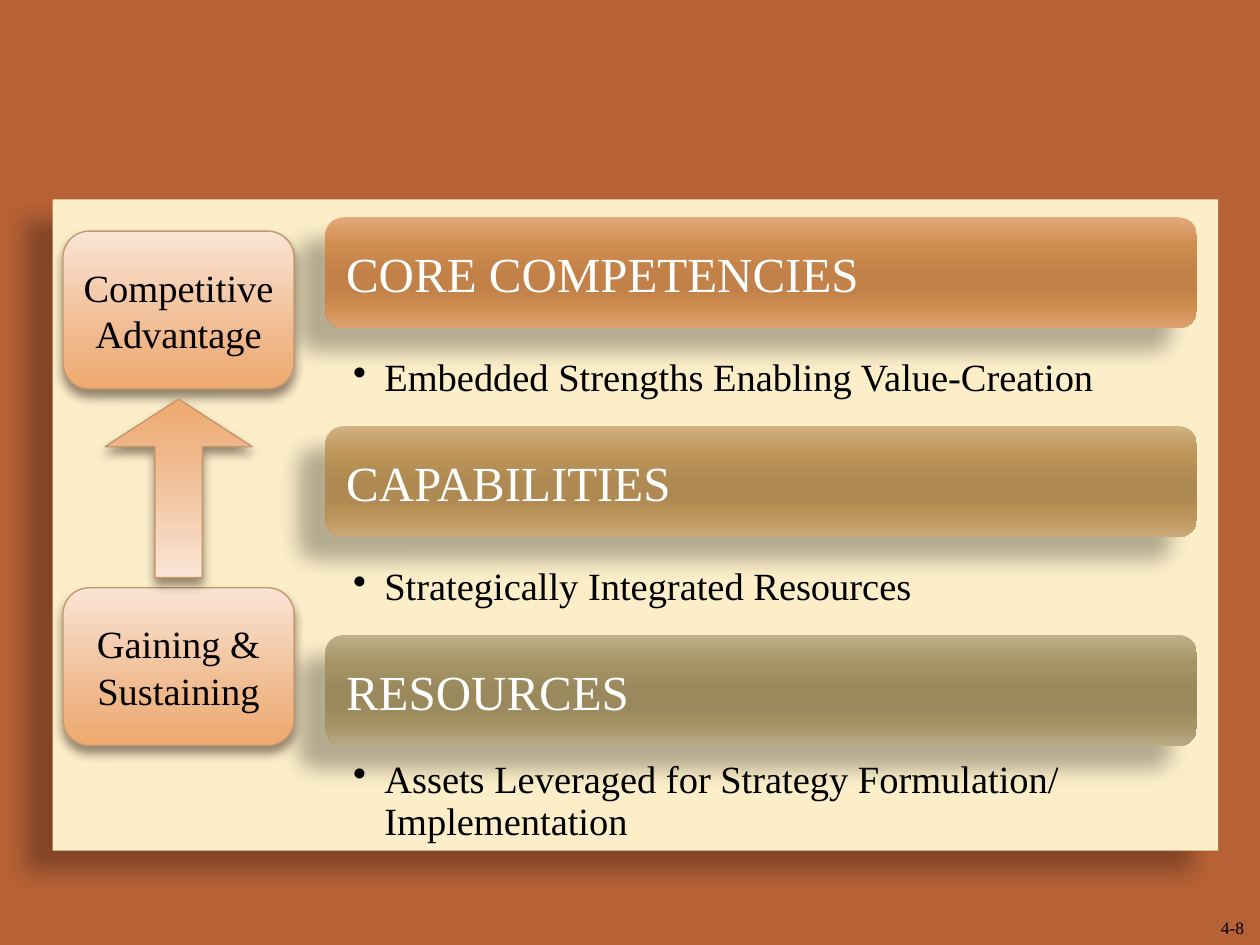
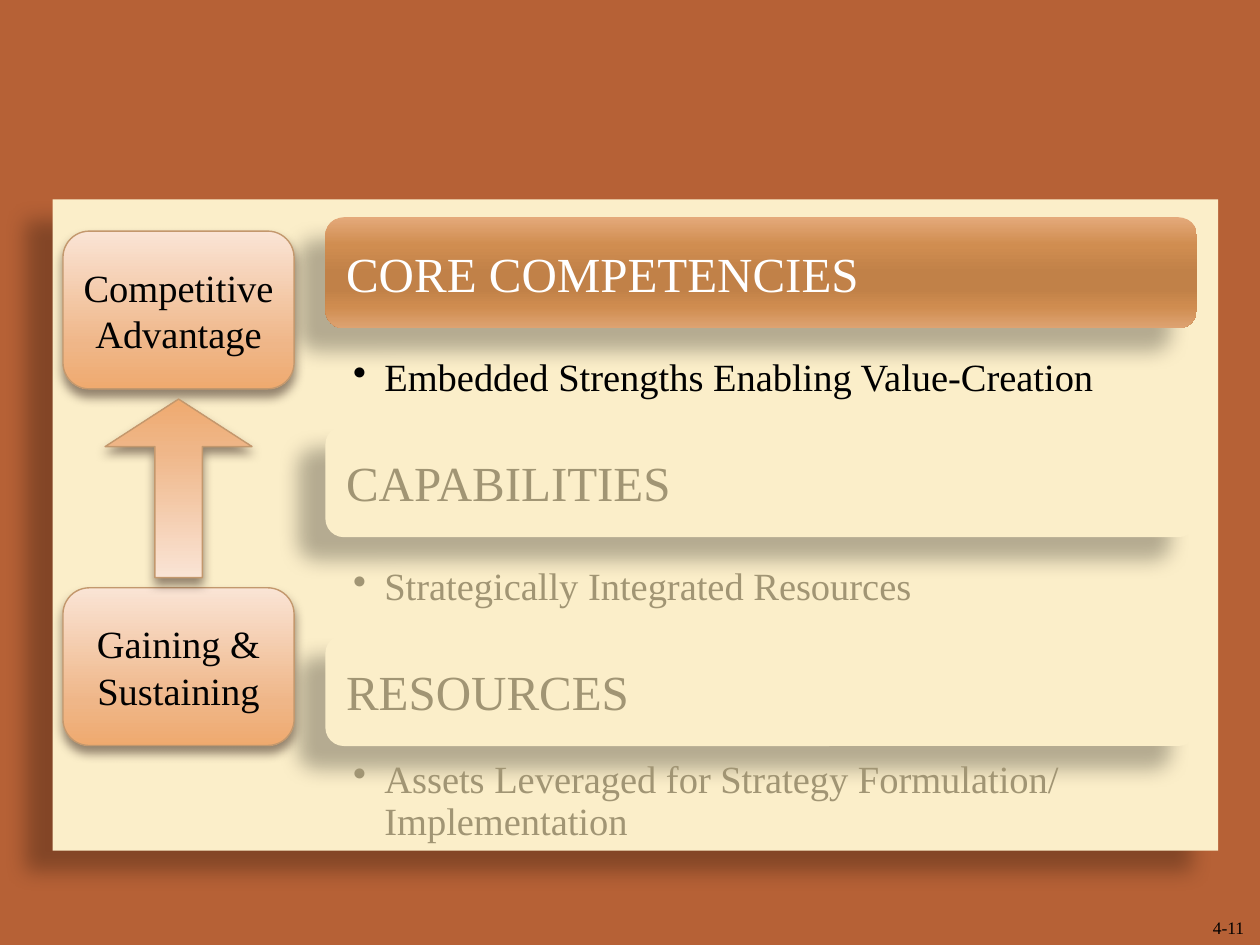
from dataclasses import dataclass

from lxml.etree import SubElement
from pptx import Presentation
from pptx.dml.color import RGBColor
from pptx.enum.shapes import MSO_SHAPE as Shape
from pptx.enum.text import MSO_ANCHOR as Anchor, PP_ALIGN as Align
from pptx.oxml.ns import qn
from pptx.util import Cm, Pt

# Each level: heading, detail, gradient of its bar, space above the detail (cm)
LEVELS = [
    ("CORE COMPETENCIES", "Embedded Strengths Enabling Value-Creation",
     ("E4A97A", "D08D50", "C18148", "C18148", "CF8C4F", "DEA372"), 0.61),
    ("CAPABILITIES", "Strategically Integrated Resources",
     ("D2B182", "BC9459", "AE8951", "AE8951", "BB9359", "CCAA7B"), 0.61),
    ("RESOURCES", "Assets Leveraged for Strategy Formulation/ Implementation",
     ("C0B18C", "A69465", "9A895C", "9A895C", "A59364", "BAAA85"), 0.29),
]
GOAL, DRIVER = "Competitive Advantage", "Gaining & Sustaining"

# Each slide: page number, how many levels are highlighted from the top
SLIDES = [("4-8", 3), ("4-11", 1)]


@dataclass(frozen=True)
class Theme:
    font: str = "Times New Roman"
    background: str = "B66136"
    panel: str = "FBEEC9"
    ink: str = "000000"
    box_ink: str = "010101"
    heading: str = "FFFFFF"
    muted: str = "A19574"
    box_line: str = "C3986D"
    box_stops: tuple = ((0, "FAE4D5"), (72, "EFB688"), (100, "EFAA6F"))
    bar_positions: tuple = (0, 25, 50, 65, 80, 100)
    # colour, opacity %, blur pt, distance pt, direction in degrees
    deep_shadow: tuple = ("000000", 28, 11.8, 19.7, 141)
    soft_shadow: tuple = ("4E3B30", 60, 6, 4, 90)
    heading_size: int = 28
    body_size: int = 22
    page_size: int = 10


THEME = Theme()

# Layout in cm: left, top, width, height
PANEL = (1.06, 4.02, 23.5, 13.13)
PAGE_NUMBER = (18.62, 18.08, 6.71, 0.97)
BAR_LEFT, BAR_TOP, BAR_WIDTH, BAR_HEIGHT = 6.56, 4.38, 17.57, 2.24
DETAIL_HEIGHT, LEVEL_PITCH = 1.98, 4.21
BOX_LEFT, BOX_WIDTH, BOX_HEIGHT = 1.27, 4.66, 3.18
GOAL_TOP, DRIVER_TOP = 4.66, 11.85
ARROW_WIDTH, ARROW_HEIGHT, ARROW_ADJUSTMENT = 2.96, 3.6, 0.323


def rgb(color):
    return RGBColor.from_string(color)


def set_gradient(shape, stops):
    """Fill from top to bottom with any number of (percent, colour) stops."""
    shape.fill.gradient()
    shape.fill.gradient_angle = 270
    stop_list = shape._element.spPr.find(qn("a:gradFill")).find(qn("a:gsLst"))
    for stop in list(stop_list):
        stop_list.remove(stop)
    for percent, color in stops:
        stop = SubElement(stop_list, qn("a:gs"), pos=str(percent * 1000))
        SubElement(stop, qn("a:srgbClr"), val=color)


def set_shadow(shape, color, opacity, blur, distance, direction):
    shape.shadow.inherit = False
    effects = shape._element.spPr.find(qn("a:effectLst"))
    outer = SubElement(effects, qn("a:outerShdw"), blurRad=str(Pt(blur)),
                       dist=str(Pt(distance)), dir=str(direction * 60000),
                       algn="ctr", rotWithShape="0")
    shade = SubElement(outer, qn("a:srgbClr"), val=color)
    SubElement(shade, qn("a:alpha"), val=str(opacity * 1000))


def add_block(slide, kind, box, fill, shadow, line=None):
    """Add a shape; fill is one colour or a sequence of gradient stops."""
    shape = slide.shapes.add_shape(kind, *map(Cm, box))
    if isinstance(fill, str):
        shape.fill.solid()
        shape.fill.fore_color.rgb = rgb(fill)
    else:
        set_gradient(shape, fill)
    if line:
        shape.line.color.rgb = rgb(line)
        shape.line.width = Pt(0.79)
    else:
        shape.line.fill.background()
    set_shadow(shape, *shadow)
    return shape


def write(shape, text, size, color, align, anchor, margins):
    """Put one paragraph in the shape; margins are left, top, right, bottom."""
    frame = shape.text_frame
    frame.word_wrap = True
    frame.vertical_anchor = anchor
    (frame.margin_left, frame.margin_top,
     frame.margin_right, frame.margin_bottom) = map(Cm, margins)
    paragraph = frame.paragraphs[0]
    paragraph.alignment = align
    run = paragraph.add_run()
    run.text = text
    run.font.name = THEME.font
    run.font.size = Pt(size)
    run.font.color.rgb = rgb(color)
    return paragraph


def add_bullet(paragraph):
    properties = paragraph._p.get_or_add_pPr()
    indent = Cm(0.63)
    properties.set("marL", str(indent))
    properties.set("indent", str(-indent))
    SubElement(properties, qn("a:buChar"), char="•")


def add_level(slide, index, highlighted):
    heading, detail, colors, space_above = LEVELS[index]
    top = BAR_TOP + index * LEVEL_PITCH
    fill = tuple(zip(THEME.bar_positions, colors)) if highlighted else THEME.panel

    bar = add_block(slide, Shape.ROUNDED_RECTANGLE,
                    (BAR_LEFT, top, BAR_WIDTH, BAR_HEIGHT), fill, THEME.deep_shadow)
    write(bar, heading, THEME.heading_size,
          THEME.heading if highlighted else THEME.muted,
          Align.LEFT, Anchor.MIDDLE, (0.31, 0.2, 0.31, 0.2))

    detail_box = slide.shapes.add_textbox(
        *map(Cm, (BAR_LEFT, top + BAR_HEIGHT, BAR_WIDTH, DETAIL_HEIGHT)))
    paragraph = write(detail_box, detail, THEME.body_size,
                      THEME.ink if highlighted else THEME.muted,
                      Align.LEFT, Anchor.TOP, (0.56, space_above, 0.08, 0.03))
    paragraph.line_spacing = 0.9
    add_bullet(paragraph)


def add_advantage_column(slide):
    """Two boxes joined by an arrow that points up, centred in the gap."""
    style = (THEME.box_stops, THEME.soft_shadow, THEME.box_line)
    for text, top in ((GOAL, GOAL_TOP), (DRIVER, DRIVER_TOP)):
        box = add_block(slide, Shape.ROUNDED_RECTANGLE,
                        (BOX_LEFT, top, BOX_WIDTH, BOX_HEIGHT), *style)
        write(box, text, THEME.body_size, THEME.box_ink,
              Align.CENTER, Anchor.MIDDLE, (0.1, 0.1, 0.1, 0.1))
    arrow_left = BOX_LEFT + (BOX_WIDTH - ARROW_WIDTH) / 2
    arrow_top = (GOAL_TOP + BOX_HEIGHT + DRIVER_TOP - ARROW_HEIGHT) / 2
    arrow = add_block(slide, Shape.DOWN_ARROW,
                      (arrow_left, arrow_top, ARROW_WIDTH, ARROW_HEIGHT), *style)
    arrow.rotation = 180
    for index in range(2):
        arrow.adjustments[index] = ARROW_ADJUSTMENT


def add_slide(presentation, page_number, highlighted_count):
    slide = presentation.slides.add_slide(presentation.slide_layouts[6])
    page_box = slide.shapes.add_textbox(*map(Cm, PAGE_NUMBER))
    write(page_box, page_number, THEME.page_size, THEME.ink,
          Align.RIGHT, Anchor.BOTTOM, (0.25, 0.13, 0.25, 0.13))
    add_block(slide, Shape.RECTANGLE, PANEL, THEME.panel, THEME.deep_shadow)
    for index in range(len(LEVELS)):
        add_level(slide, index, index < highlighted_count)
    add_advantage_column(slide)


def main():
    presentation = Presentation()
    presentation.slide_width, presentation.slide_height = Cm(25.4), Cm(19.05)
    background = presentation.slide_master.background.fill
    background.solid()
    background.fore_color.rgb = rgb(THEME.background)
    for page_number, highlighted_count in SLIDES:
        add_slide(presentation, page_number, highlighted_count)
    presentation.save("out.pptx")


if __name__ == "__main__":
    main()
